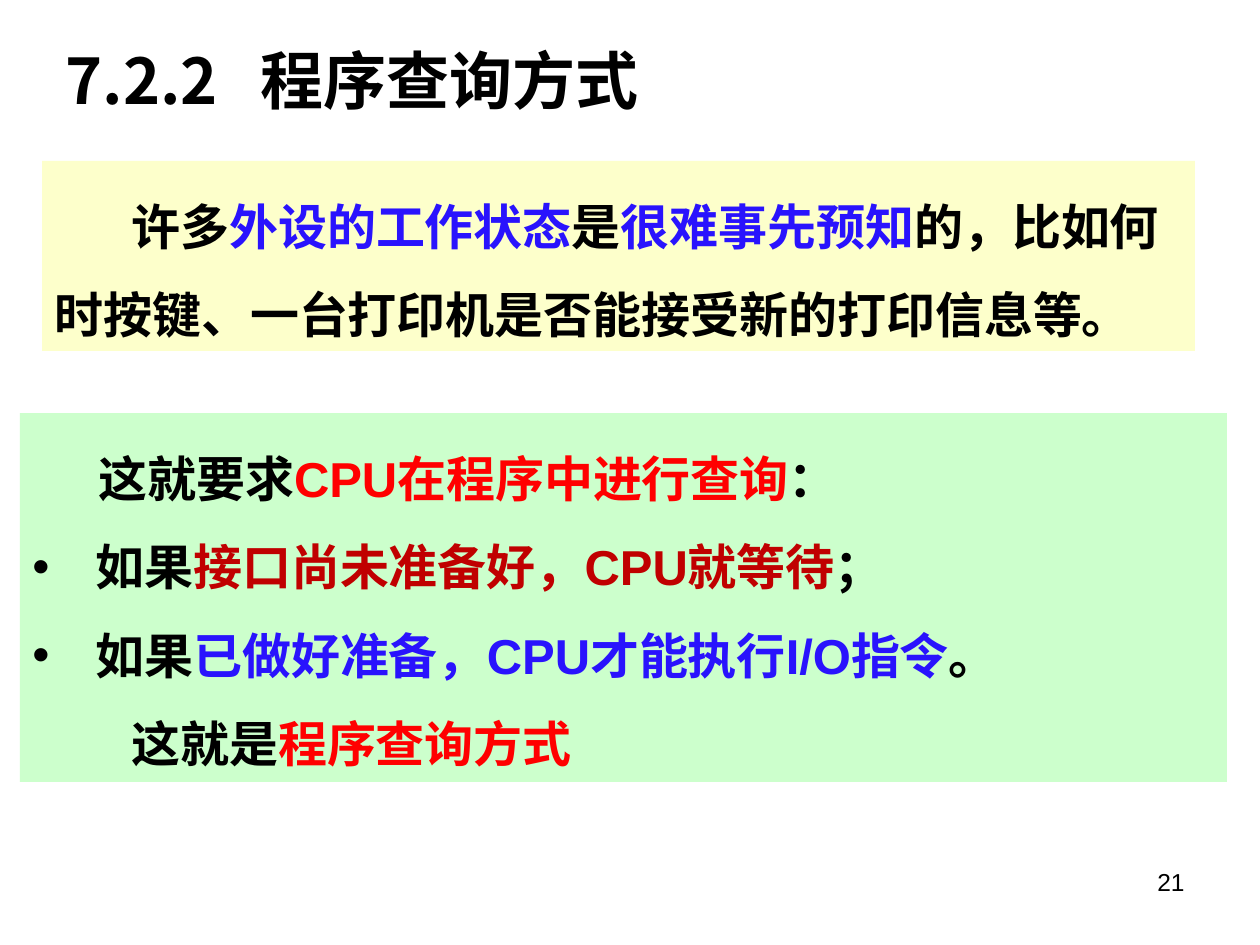
from dataclasses import dataclass

from lxml.etree import SubElement
from pptx import Presentation
from pptx.dml.color import RGBColor
from pptx.enum.lang import MSO_LANGUAGE_ID as Language
from pptx.enum.shapes import MSO_SHAPE as Shape
from pptx.enum.text import MSO_ANCHOR as Anchor, PP_ALIGN as Align
from pptx.oxml.ns import qn
from pptx.util import Pt

EMU_PER_PX = 914400 / 126


def px(length):
    return round(length * EMU_PER_PX)


@dataclass(frozen=True)
class Theme:
    black: str = "000000"
    red: str = "FF0000"
    dark_red: str = "C00000"
    blue: str = "2913FD"
    green_panel: str = "CCFFCC"
    yellow_panel: str = "FDFFCB"
    body_font: str = "Arial"
    title_font: str = "Noto Sans CJK SC"
    title_size: int = 36
    body_size: int = 28
    number_size: int = 14


class SlideBuilder:
    def __init__(self, presentation, theme):
        self.theme = theme
        self.slide = presentation.slides.add_slide(presentation.slide_layouts[6])

    def text_box(self, box):
        shape = self.slide.shapes.add_textbox(*map(px, box))
        shape.text_frame.word_wrap = True
        return shape.text_frame.paragraphs[0]

    def add_runs(self, paragraph, runs, size, font_name, bold=True):
        for text, color in runs:
            run = paragraph.add_run()
            run.text = text
            run.font.color.rgb = RGBColor.from_string(color)
        font = paragraph.font
        font.name, font.size, font.bold = font_name, Pt(size), bold
        font.language_id = Language.SIMPLIFIED_CHINESE

    def title(self, box, number, name, tab):
        paragraph = self.text_box(box)
        tabs = SubElement(paragraph._p.get_or_add_pPr(), qn("a:tabLst"))
        SubElement(tabs, qn("a:tab"), pos=str(px(tab)), algn="l")
        theme = self.theme
        self.add_runs(paragraph, [(f"{number}\t{name}", theme.black)],
                      theme.title_size, theme.title_font)

    def page_number(self, box, number):
        paragraph = self.text_box(box)
        paragraph.alignment = Align.RIGHT
        theme = self.theme
        self.add_runs(paragraph, [(number, theme.black)],
                      theme.number_size, theme.body_font, bold=False)

    def panel(self, box, fill, lines):
        shape = self.slide.shapes.add_shape(Shape.RECTANGLE, *map(px, box))
        shape.shadow.inherit = False
        shape.fill.solid()
        shape.fill.fore_color.rgb = RGBColor.from_string(fill)
        shape.line.fill.background()
        frame = shape.text_frame
        frame.word_wrap = True
        frame.vertical_anchor = Anchor.TOP
        for index, (indent, bulleted, runs) in enumerate(lines):
            paragraph = frame.add_paragraph() if index else frame.paragraphs[0]
            paragraph.alignment = Align.LEFT
            paragraph.line_spacing = 1.5
            properties = paragraph._p.get_or_add_pPr()
            properties.set("marL", str(px(-indent if bulleted else 0)))
            properties.set("indent", str(px(indent)))
            if bulleted:
                SubElement(properties, qn("a:buFont"), typeface=self.theme.body_font)
                SubElement(properties, qn("a:buChar"), char="•")
            self.add_runs(paragraph, runs, self.theme.body_size, self.theme.body_font)


def main():
    theme = Theme()
    presentation = Presentation()
    presentation.slide_width, presentation.slide_height = px(1260), px(945)
    builder = SlideBuilder(presentation, theme)

    builder.page_number((903, 861, 294, 66), "21")
    builder.title((53, 35, 687, 89), "7.2.2", "程序查询方式", 195)
    builder.panel((20, 413, 1207, 369), theme.green_panel, [
        (66, False, [("这就要求", theme.black),
                     ("CPU在程序中进行查询", theme.red),
                     ("：", theme.black)]),
        (-63, True, [("如果", theme.black),
                     ("接口尚未准备好，CPU就等待", theme.dark_red),
                     ("；", theme.black)]),
        (-63, True, [("如果", theme.black),
                     ("已做好准备，CPU才能执行I/O指令", theme.blue),
                     ("。", theme.black)]),
        (99, False, [("这就是", theme.black),
                     ("程序查询方式", theme.red)]),
    ])
    builder.panel((42, 161, 1153, 190), theme.yellow_panel, [
        (77, False, [("许多", theme.black),
                     ("外设的工作状态", theme.blue),
                     ("是", theme.black),
                     ("很难事先预知", theme.blue),
                     ("的，比如何时按键、一台打印机是否能接受新的打印信息等。",
                      theme.black)]),
    ])
    presentation.save("out.pptx")


if __name__ == "__main__":
    main()
